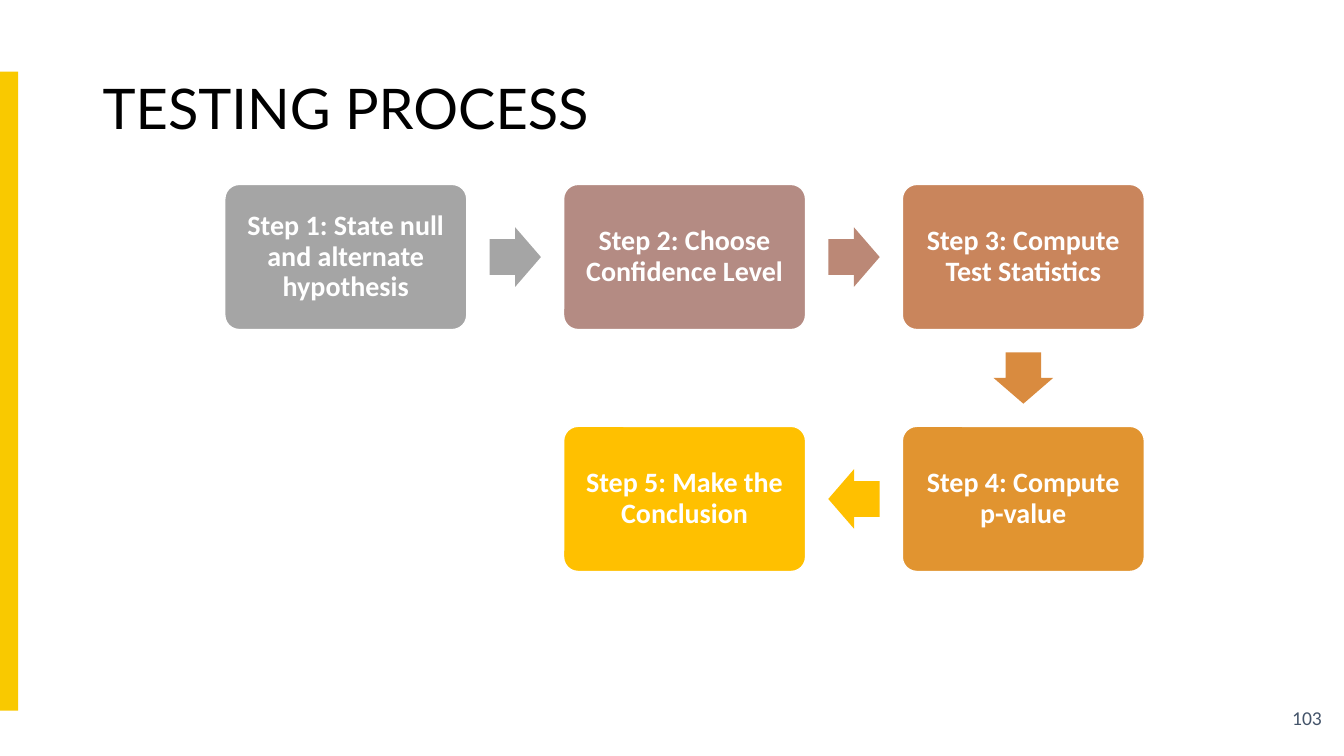
from itertools import pairwise

from pptx import Presentation
from pptx.dml.color import RGBColor
from pptx.enum.shapes import MSO_SHAPE
from pptx.enum.text import MSO_ANCHOR, PP_ALIGN
from pptx.util import Inches, Pt

STEPS = [
    (0, 0, "Step 1: State null and alternate hypothesis", "A5A5A5"),
    (1, 0, "Step 2: Choose Confidence Level", "B48B83"),
    (2, 0, "Step 3: Compute Test Statistics", "C9855C"),
    (2, 1, "Step 4: Compute p-value", "E19430"),
    (1, 1, "Step 5: Make the Conclusion", "FFC000"),
]
ARROW_FILLS = ["A5A5A5", "BB8876", "D98B3F", "FFC000"]
ROTATIONS = {(1, 0): 0, (0, 1): 90, (-1, 0): 180}


def colour(value):
    return RGBColor.from_string(value)


class FlowPage:
    """Draws the parts of a step-by-step flow on one slide."""

    left, top = 2.23, 1.83
    column_pitch, row_pitch = 3.36, 2.4
    box_width, box_height = 2.4, 1.44
    arrow_length, arrow_breadth = 0.51, 0.59
    arrow_share = 0.5

    def __init__(self, page):
        self.page = page

    def shape(self, kind, place, fill, adjustments=(), outline=None):
        shape = self.page.shapes.add_shape(kind, *map(Inches, place))
        shape.shadow.inherit = False
        shape.fill.solid()
        shape.fill.fore_color.rgb = colour(fill)
        if outline:
            shape.line.color.rgb = colour(outline)
            shape.line.width = Pt(1)
        else:
            shape.line.fill.background()
        for index, value in enumerate(adjustments):
            shape.adjustments[index] = value
        return shape

    def set_text(self, frame, text, anchor, align, spacing, fill, font):
        frame.word_wrap = True
        frame.vertical_anchor = anchor
        para = frame.paragraphs[0]
        para.alignment = align
        para.line_spacing = spacing
        span = para.add_run()
        span.text = text
        span.font.color.rgb = colour(fill)
        for name, value in font.items():
            setattr(span.font, name, value)

    def label(self, place, *style):
        box = self.page.shapes.add_textbox(*map(Inches, place))
        self.set_text(box.text_frame, *style)

    def centre(self, column, row):
        return (self.left + column * self.column_pitch + self.box_width / 2,
                self.top + row * self.row_pitch + self.box_height / 2)

    def step(self, column, row, text, fill):
        x, y = self.centre(column, row)
        place = (x - self.box_width / 2, y - self.box_height / 2,
                 self.box_width, self.box_height)
        box = self.shape(MSO_SHAPE.ROUNDED_RECTANGLE, place, fill, [0.1], "FFFFFF")
        for side in ("left", "top", "right", "bottom"):
            setattr(box.text_frame, f"margin_{side}", Inches(0.1))
        self.set_text(box.text_frame, text, MSO_ANCHOR.MIDDLE, PP_ALIGN.CENTER, 0.9,
                      "FFFFFF", {"name": "Calibri", "size": Pt(20), "bold": True})

    def arrow(self, start, end, fill):
        x, y = self.centre(start[0] + (end[0] - start[0]) * self.arrow_share,
                           start[1] + (end[1] - start[1]) * self.arrow_share)
        place = (x - self.arrow_length / 2, y - self.arrow_breadth / 2,
                 self.arrow_length, self.arrow_breadth)
        arrow = self.shape(MSO_SHAPE.RIGHT_ARROW, place, fill, [0.6, 0.5])
        arrow.rotation = ROTATIONS[end[0] - start[0], end[1] - start[1]]


def main():
    deck = Presentation()
    deck.slide_width, deck.slide_height = Inches(13.33), Inches(7.5)
    flow = FlowPage(deck.slides.add_slide(deck.slide_layouts[6]))

    flow.shape(MSO_SHAPE.RECTANGLE, (0, 0.71, 0.18, 6.34), "F9C900")
    flow.label((10.21, 6.92, 3, 0.4), "103", MSO_ANCHOR.MIDDLE, PP_ALIGN.RIGHT, 1.0,
               "44546A", {"name": "Calibri", "size": Pt(14)})
    flow.label((0.92, 0.76, 11.5, 1.45), "TESTING PROCESS", MSO_ANCHOR.TOP,
               PP_ALIGN.LEFT, 0.9, "000000", {"name": "Lato", "size": Pt(40)})

    for step in STEPS:
        flow.step(*step)
    for (start, end), fill in zip(pairwise(STEPS), ARROW_FILLS):
        flow.arrow(start[:2], end[:2], fill)

    deck.save("out.pptx")


if __name__ == "__main__":
    main()
